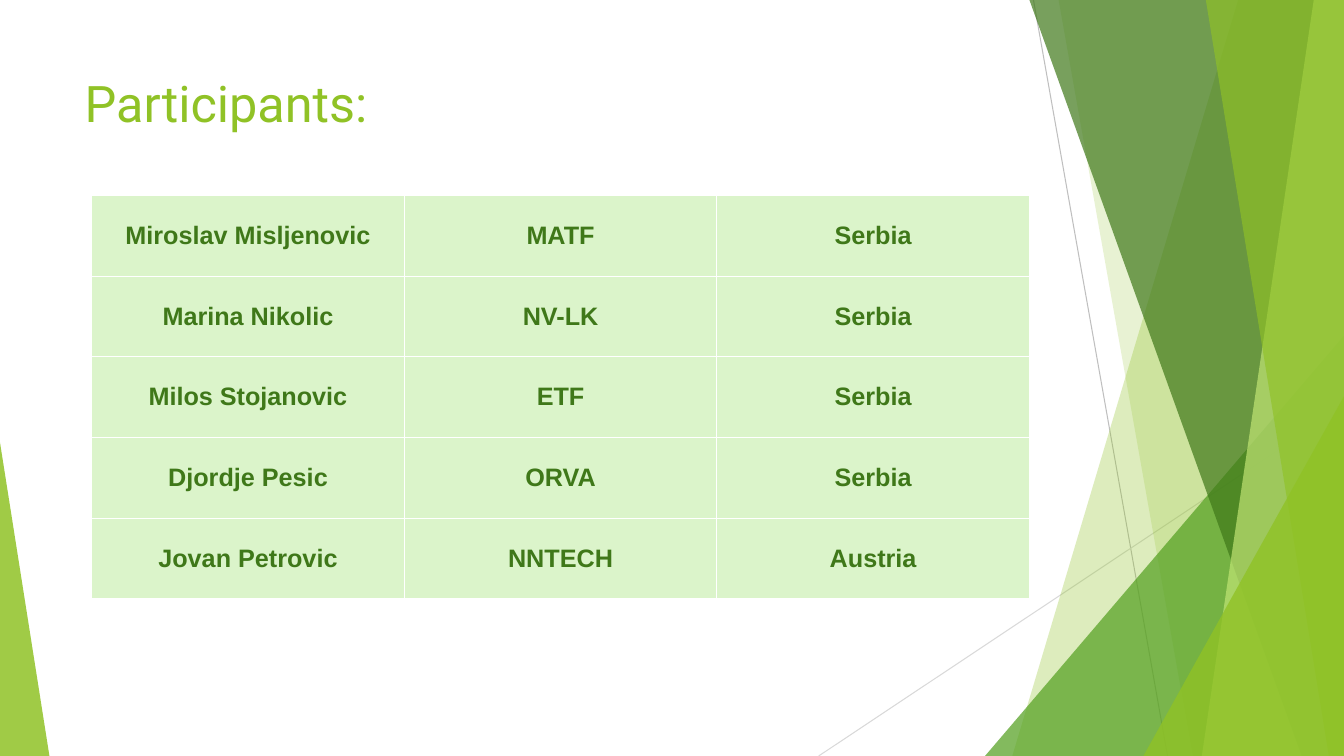
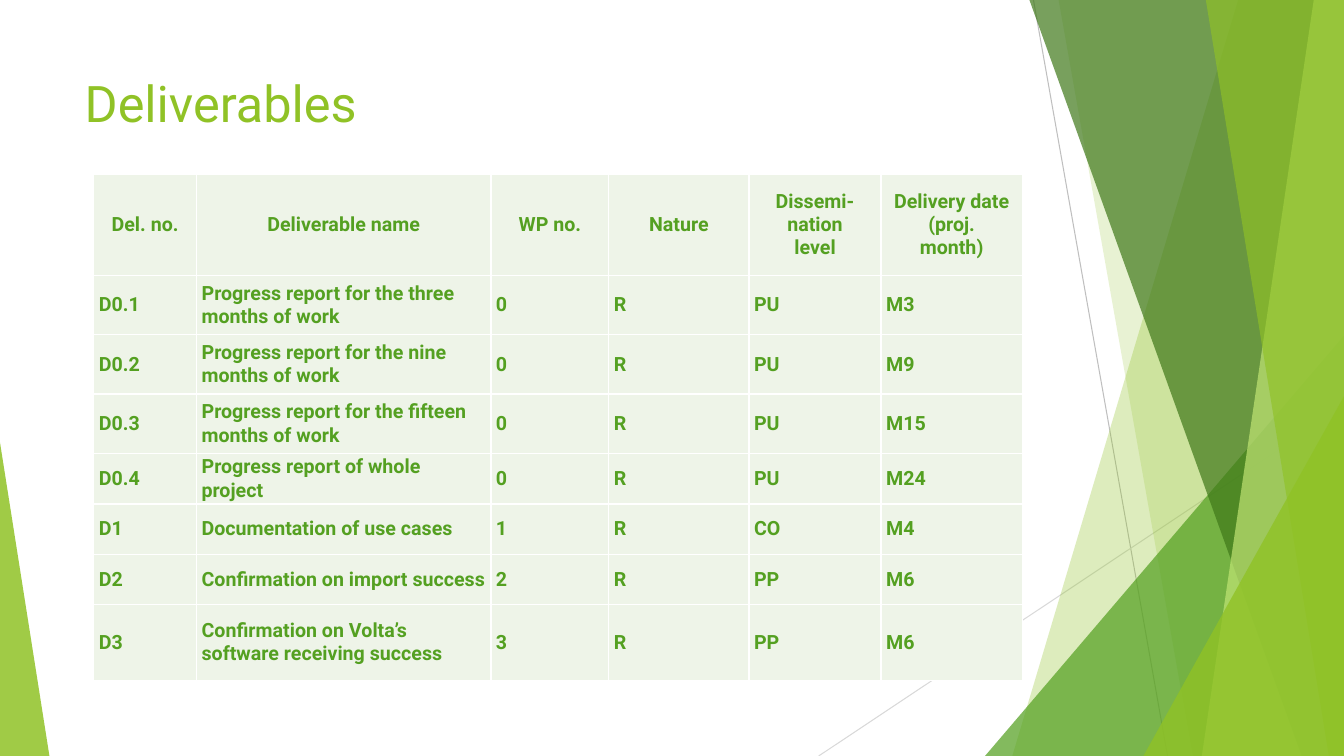
from dataclasses import dataclass

import lxml.etree
import pptx
import pptx.dml.color
import pptx.enum.shapes
import pptx.enum.text
import pptx.oxml.ns
import pptx.util

Inches = pptx.util.Inches
Pt = pptx.util.Pt
qn = pptx.oxml.ns.qn
ALIGN = pptx.enum.text.PP_ALIGN
ANCHOR = pptx.enum.text.MSO_ANCHOR


@dataclass(frozen=True)
class Theme:
    lime: str = "90C226"
    pale_lime: str = "C0E474"
    green: str = "54A021"
    forest: str = "3F7819"
    mint: str = "DBF4CA"
    mist: str = "EEF4E8"
    white: str = "FFFFFF"
    grey: str = "BFBFBF"
    light_grey: str = "D9D9D9"
    heading_font: str = "Roboto"
    name_font: str = "Arial"
    title_size: int = 36
    name_size: int = 18
    grid_size: int = 14
    line_width: float = 0.75
    border_width: float = 1


@dataclass(frozen=True)
class Box:
    left: float
    top: float
    width: float
    height: float


@dataclass(frozen=True)
class TableStyle:
    fill: str
    colour: str
    font: str
    size: int
    side_margin: float
    header_align: ALIGN
    body_align: ALIGN


THEME = Theme()
PAGE = Box(0, 0, 13.33, 7.5)
TITLE = Box(0.74, 0.67, 9.4, 1.44)

NAME_STYLE = TableStyle(THEME.mint, THEME.forest, THEME.name_font, THEME.name_size,
                        0.07, ALIGN.CENTER, ALIGN.CENTER)
GRID_STYLE = TableStyle(THEME.mist, THEME.green, THEME.heading_font, THEME.grid_size,
                        0.05, ALIGN.CENTER, ALIGN.LEFT)

# Ray: start x, start y, end x, end y, colour
RAYS = [
    (10.25, 0, 11.58, 7.5, THEME.grey),
    (13.33, 4.03, 8.12, 7.5, THEME.light_grey),
]
# Pane: left edge at the top and at the bottom; it reaches the right edge of the page.
# Peak: left, top, width and apex position; it stands on the bottom edge of the page.
FACETS = [
    ("pane", (12.28, 10.04), THEME.lime, 30),
    ("pane", (10.5, 11.83), THEME.lime, 20),
    ("peak", (9.77, 3.33, 3.56, 1), THEME.green, 72),
    ("pane", (10.21, 12.91), THEME.forest, 70),
    ("pane", (13.03, 11.92), THEME.pale_lime, 70),
    ("pane", (11.96, 13.18), THEME.lime, 65),
    ("peak", (11.34, 3.93, 1.99, 1), THEME.lime, 80),
    ("peak", (0, 4.39, 0.49, 0), THEME.lime, 85),
]

PARTICIPANTS = [
    ("Miroslav Misljenovic", "MATF", "Serbia"),
    ("Marina Nikolic", "NV-LK", "Serbia"),
    ("Milos Stojanovic", "ETF", "Serbia"),
    ("Djordje Pesic", "ORVA", "Serbia"),
    ("Jovan Petrovic", "NNTECH", "Austria"),
]
DELIVERABLES = [
    ("Del. no.", "Deliverable name", "WP no.", "Nature",
     "Dissemi-nation\vlevel", "Delivery date\n(proj.\nmonth)"),
    ("D0.1", "Progress report for the three months of work", "0", "R", "PU", "M3"),
    ("D0.2", "Progress report for the nine months of work", "0", "R", "PU", "M9"),
    ("D0.3", "Progress report for the fifteen months of work", "0", "R", "PU", "M15"),
    ("D0.4", "Progress report of whole project", "0", "R", "PU", "M24"),
    ("D1", "Documentation of use cases", "1", "R", "CO", "M4"),
    ("D2", "Confirmation on import success", "2", "R", "PP", "M6"),
    ("D3", "Confirmation on Volta’s software receiving success", "3", "R", "PP", "M6"),
]


def rgb(colour):
    return pptx.dml.color.RGBColor.from_string(colour)


def paint(shape, colour, opacity):
    """Flat fill with the given opacity in percent, no outline or shadow."""
    shape.shadow.inherit = False
    shape.fill.solid()
    shape.fill.fore_color.rgb = rgb(colour)
    shape.line.fill.background()
    tint = shape.element.spPr.find(qn("a:solidFill"))[0]
    lxml.etree.SubElement(tint, qn("a:alpha")).set("val", str(opacity * 1000))


def add_ray(shapes, box, start_x, start_y, end_x, end_y, colour):
    ray = shapes.add_connector(
        pptx.enum.shapes.MSO_CONNECTOR.STRAIGHT,
        Inches(box.left + start_x), Inches(box.top + start_y),
        Inches(box.left + end_x), Inches(box.top + end_y))
    ray.line.color.rgb = rgb(colour)
    ray.line.width = Pt(THEME.line_width)
    lxml.etree.SubElement(ray.element.spPr, qn("a:effectLst"))


def add_pane(shapes, box, top_x, bottom_x):
    right = Inches(box.left + box.width)
    top, bottom = Inches(box.top), Inches(box.top + box.height)
    outline = shapes.build_freeform(Inches(box.left + top_x), top)
    outline.add_line_segments(
        [(right, top), (right, bottom), (Inches(box.left + bottom_x), bottom)], close=True)
    return outline.convert_to_shape()


def add_peak(shapes, box, left, top, width, apex):
    peak = shapes.add_shape(
        pptx.enum.shapes.MSO_SHAPE.ISOSCELES_TRIANGLE,
        Inches(box.left + left), Inches(box.top + top),
        Inches(width), Inches(box.height - top))
    peak.adjustments[0] = apex
    return peak


def add_backdrop(page, box):
    """Rays and facets, drawn once and placed behind everything in the layout."""
    group = page.shapes.add_group_shape()
    for ray in RAYS:
        add_ray(group.shapes, box, *ray)
    makers = {"pane": add_pane, "peak": add_peak}
    for kind, measures, colour, opacity in FACETS:
        paint(makers[kind](group.shapes, box, *measures), colour, opacity)
    # Fresh ids keep the group apart from the layout's placeholders
    for number, node in enumerate(group.element.iter(qn("p:cNvPr")), 101):
        node.set("id", str(number))
    page.slide_layout.shapes.element.insert(2, group.element)


def place_title(layout, box):
    title = next(holder for holder in layout.placeholders
                 if holder.placeholder_format.idx == 0)
    title.left, title.top = Inches(box.left), Inches(box.top)
    title.width, title.height = Inches(box.width), Inches(box.height)


def write_title(page, text):
    frame = page.shapes.title.text_frame
    frame.text = text
    frame.vertical_anchor = ANCHOR.TOP
    para = frame.paragraphs[0]
    para.alignment = ALIGN.LEFT
    para.font.name = THEME.heading_font
    para.font.size = Pt(THEME.title_size)
    para.font.color.rgb = rgb(THEME.lime)


def add_borders(cell):
    properties = cell._tc.get_or_add_tcPr()
    for position, side in enumerate(("a:lnL", "a:lnR", "a:lnT", "a:lnB")):
        line = lxml.etree.Element(qn(side), w=str(Pt(THEME.border_width)))
        fill = lxml.etree.SubElement(line, qn("a:solidFill"))
        lxml.etree.SubElement(fill, qn("a:srgbClr"), val=THEME.white)
        properties.insert(position, line)


def fill_cell(cell, text, style, alignment):
    cell.text = text
    cell.vertical_anchor = ANCHOR.MIDDLE
    cell.margin_left = cell.margin_right = Inches(style.side_margin)
    cell.margin_top = cell.margin_bottom = 0
    cell.fill.solid()
    cell.fill.fore_color.rgb = rgb(style.fill)
    add_borders(cell)
    for para in cell.text_frame.paragraphs:
        para.alignment = alignment
        para.font.name = style.font
        para.font.size = Pt(style.size)
        para.font.bold = True
        para.font.color.rgb = rgb(style.colour)


def add_grid(page, box, rows, widths, heights, style):
    """Table whose column and row shares are scaled to fill the box."""
    table = page.shapes.add_table(
        len(rows), len(widths), Inches(box.left), Inches(box.top),
        Inches(box.width), Inches(box.height)).table
    table.first_row = table.horz_banding = False
    for column, width in zip(table.columns, widths):
        column.width = Inches(box.width * width / sum(widths))
    for row, height in zip(table.rows, heights):
        row.height = Inches(box.height * height / sum(heights))
    for row_index, row in enumerate(rows):
        alignment = style.body_align if row_index else style.header_align
        for column_index, text in enumerate(row):
            fill_cell(table.cell(row_index, column_index), text, style, alignment)


def add_table_page(deck, layout, title, *grid):
    page = deck.slides.add_slide(layout)
    write_title(page, title)
    add_grid(page, *grid)
    return page


def main():
    deck = pptx.Presentation()
    deck.slide_width, deck.slide_height = Inches(PAGE.width), Inches(PAGE.height)
    layout = deck.slide_layouts.get_by_name("Title Only")
    place_title(layout, TITLE)

    # Participants
    page = add_table_page(deck, layout, "Participants:", Box(0.91, 1.94, 9.3, 4),
                          PARTICIPANTS, [1] * 3, [1] * 5, NAME_STYLE)
    add_backdrop(page, PAGE)

    # Deliverables
    add_table_page(deck, layout, "Deliverables", Box(0.93, 1.73, 9.21, 5.02),
                   DELIVERABLES, [1.02, 2.92, 1.17, 1.39, 1.31, 1.4],
                   [1] + [0.59] * 3 + [0.5] * 3 + [0.75], GRID_STYLE)

    deck.save("out.pptx")


if __name__ == "__main__":
    main()
